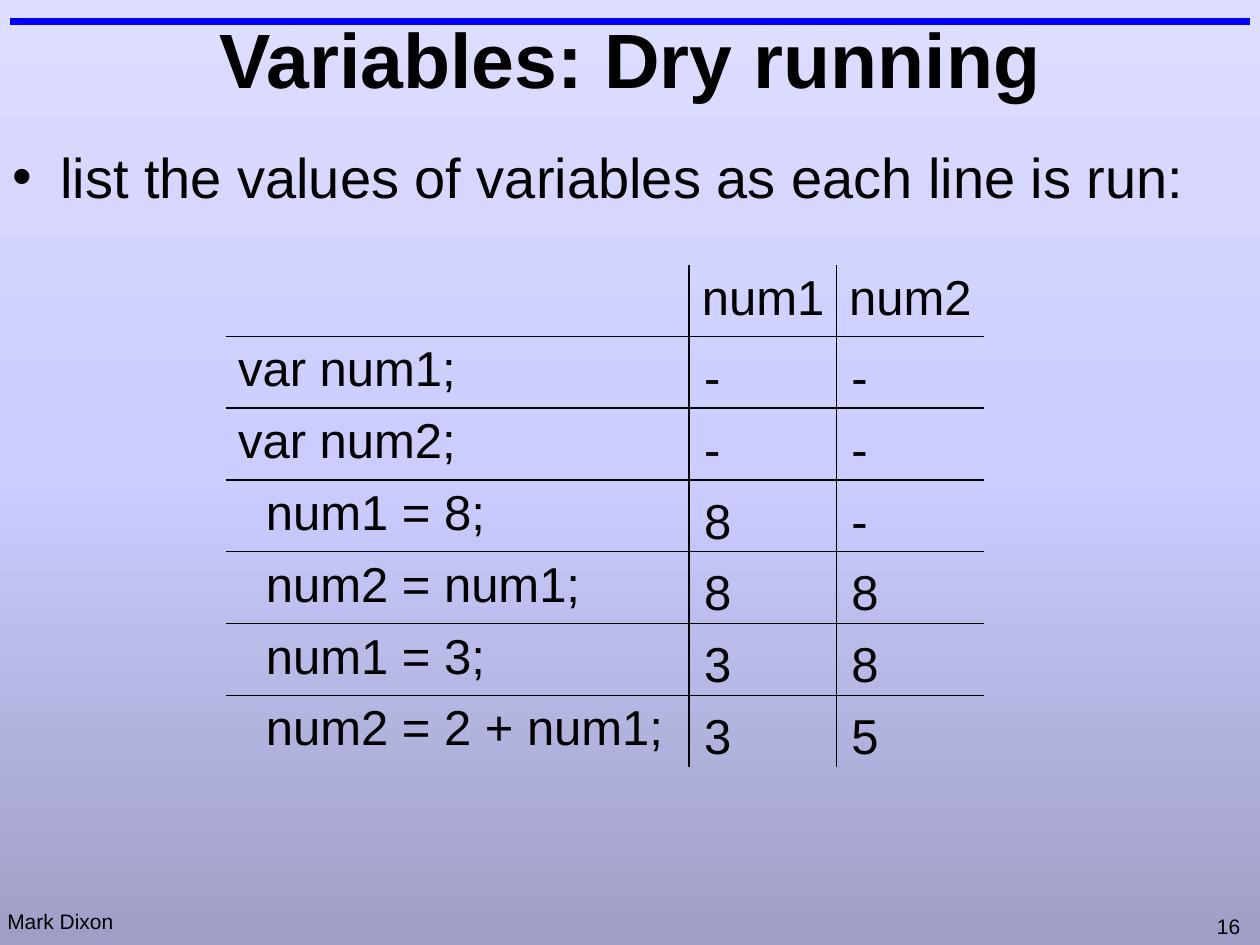
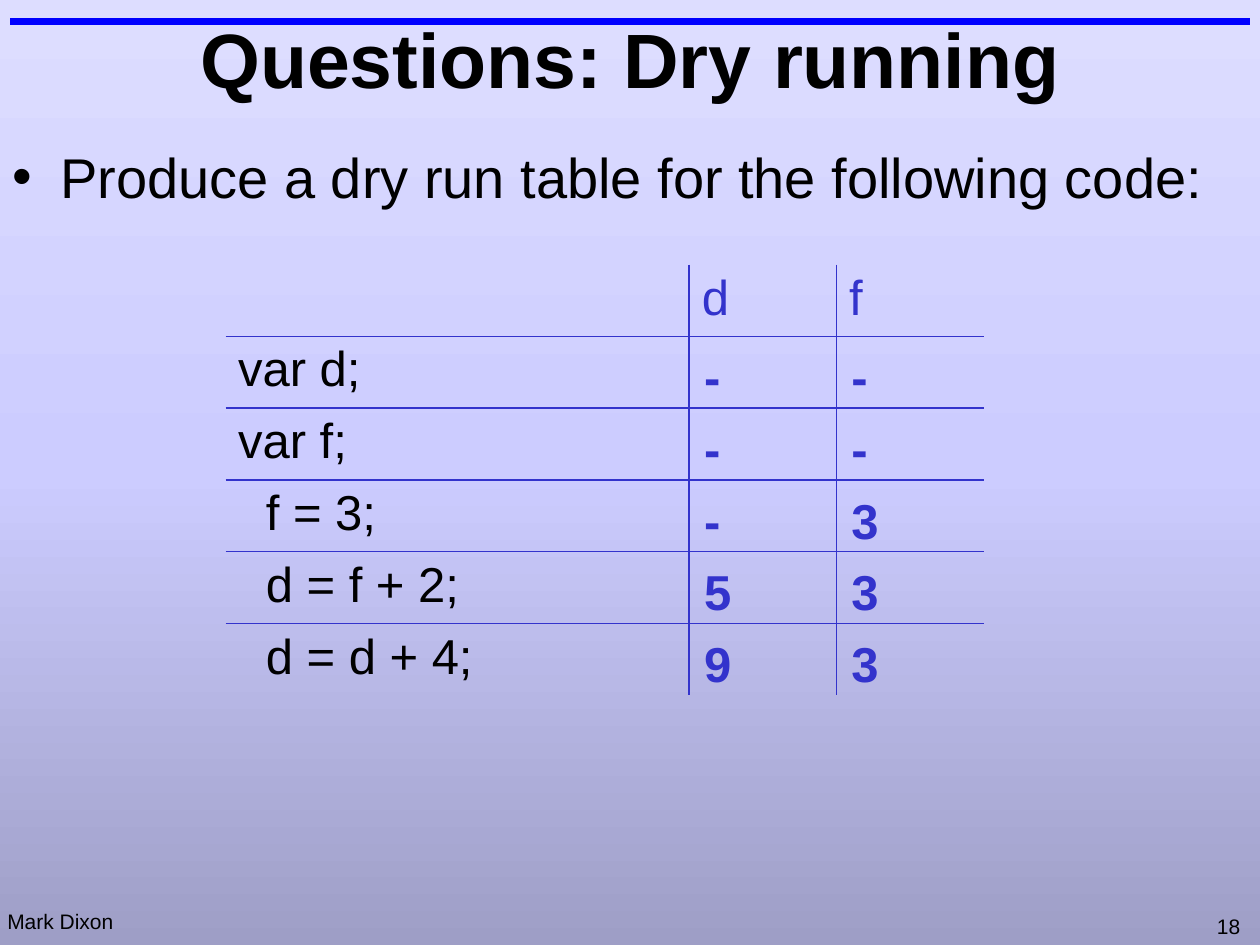
"""Build two slides that show dry run tables for short programs."""
from lxml import etree
from copy import deepcopy
from pptx import Presentation
from pptx.dml.color import RGBColor
from pptx.enum.shapes import MSO_CONNECTOR
from pptx.enum.text import MSO_ANCHOR, PP_ALIGN
from pptx.oxml.ns import qn
from pptx.util import Inches, Pt

STRAIGHT = MSO_CONNECTOR.STRAIGHT
MIDDLE, TOP = MSO_ANCHOR.MIDDLE, MSO_ANCHOR.TOP
CENTER, LEFT = PP_ALIGN.CENTER, PP_ALIGN.LEFT

BLACK = RGBColor(0x00, 0x00, 0x00)
BLUE = RGBColor(0x00, 0x00, 0xFF)
INDIGO = RGBColor(0x33, 0x33, 0xCC)
SKY = [
    (0, RGBColor(0xDD, 0xDD, 0xFF)),
    (0.5, RGBColor(0xCC, 0xCC, 0xFF)),
    (1, RGBColor(0x9E, 0x9E, 0xC6)),
]
FONT = "Arial"
PLAIN = "{2D5ABB26-0587-4C30-8999-92F81FD0307C}"

WIDE, HIGH = 10, 7.5
GRID_X, GRID_Y = 1.79, 2.1
COLS = [3.68, 1.17, 1.17]
ROW = 0.57
VALUE_X, VALUE_Y = 5.49, 2.7
INDENT = 0.22
HANG = 0.38
GAP = Pt(3.6)

PAGES = [
    {
        "title": "Variables: Dry running",
        "task": "list the values of variables as each line is run:",
        "page": "16",
        "ink": BLACK,
        "bold": False,
        "names": ["num1", "num2"],
        "steps": [
            ("var num1;", 0, "--"),
            ("var num2;", 0, "--"),
            ("num1 = 8;", INDENT, "8-"),
            ("num2 = num1;", INDENT, "88"),
            ("num1 = 3;", INDENT, "38"),
            ("num2 = 2 + num1;", INDENT, "35"),
        ],
    },
    {
        "title": "Questions: Dry running",
        "task": "Produce a dry run table for the following code:",
        "page": "18",
        "ink": INDIGO,
        "bold": True,
        "names": ["d", "f"],
        "steps": [
            ("var d;", 0, "--"),
            ("var f;", 0, "--"),
            ("f = 3;", INDENT, "-3"),
            ("d = f + 2;", INDENT, "53"),
            ("d = d + 4;", INDENT, "93"),
        ],
    },
]


def write(para, text, size, ink=BLACK, bold=False):
    """Add one styled run to a paragraph."""
    run = para.add_run()
    run.text = text
    run.font.name = FONT
    run.font.size = Pt(size)
    run.font.bold = bold
    run.font.color.rgb = ink


def place(slide, box, text, size, ink=BLACK, bold=False, wrap=True,
          align=LEFT, anchor=TOP, gap=0):
    """Add a text box and return its paragraph."""
    frame = slide.shapes.add_textbox(*map(Inches, box)).text_frame
    frame.word_wrap = wrap
    frame.vertical_anchor = anchor
    para = frame.paragraphs[0]
    para.alignment = align
    para.space_before = gap
    write(para, text, size, ink, bold)
    return para


deck = Presentation()
deck.slide_width, deck.slide_height = Inches(WIDE), Inches(HIGH)

fill = deck.slide_master.background.fill
fill.gradient()
fill.gradient_angle = 270
stops = fill._fill._gradFill.find(qn("a:gsLst"))
stops.append(deepcopy(stops[0]))
for stop, (share, tint) in zip(fill.gradient_stops, SKY):
    stop.position = share
    stop.color.rgb = tint

for page in PAGES:
    slide = deck.slides.add_slide(deck.slide_layouts[6])
    ink, steps = page["ink"], page["steps"]
    count = len(steps) + 1

    rule = slide.shapes.add_connector(
        STRAIGHT, Inches(0.08), Inches(0.17), Inches(WIDE - 0.08), Inches(0.17))
    rule.line.color.rgb = BLUE
    rule.line.width = Pt(4)
    etree.SubElement(rule._element.spPr, qn("a:effectLst"))

    place(slide, (-0.04, 7.16, 1.04, 0.3), "Mark Dixon", 12, wrap=False)
    place(slide, (9.56, 7.2, 0.4, 0.3), page["page"], 12, wrap=False)
    place(slide, (0.17, -0.17, 9.67, 1.25), page["title"], 44, bold=True,
          align=CENTER, anchor=MIDDLE)
    task = place(slide, (0, 1.08, WIDE, 6.08), page["task"], 32, gap=GAP)
    props = task._p.get_or_add_pPr()
    props.set("marL", str(Inches(HANG)))
    props.set("indent", str(-Inches(HANG)))
    etree.SubElement(props, qn("a:buFont"), typeface=FONT)
    etree.SubElement(props, qn("a:buChar"), char="•")

    tables = []
    for layer in ("grid", "code"):
        table = slide.shapes.add_table(
            count, len(COLS), Inches(GRID_X), Inches(GRID_Y),
            Inches(sum(COLS)), Inches(ROW * count)).table
        table._tbl.tblPr.find(qn("a:tableStyleId")).text = PLAIN
        table.first_row = table.horz_banding = False
        for col, width in zip(table.columns, COLS):
            col.width = Inches(width)
        for r in range(count):
            for c in range(len(COLS)):
                cell = table.cell(r, c)
                cell.margin_right = Inches(0.02)
                edges = {"lnL": c > 0, "lnR": c < len(COLS) - 1,
                         "lnT": r > 0, "lnB": r < count - 1}
                for edge, inner in edges.items():
                    if inner and layer == "grid":
                        line = etree.SubElement(
                            cell._tc.get_or_add_tcPr(), qn("a:" + edge), w=str(Pt(1)))
                        paint = etree.SubElement(line, qn("a:solidFill"))
                        etree.SubElement(paint, qn("a:srgbClr"), val=str(ink))
                cell.fill.background()
        tables.append(table)
    grid, code = tables

    for c, name in enumerate(page["names"], 1):
        write(grid.cell(0, c).text_frame.paragraphs[0], name, 28, ink)

    for r, (text, inset, values) in enumerate(steps):
        para = code.cell(r + 1, 0).text_frame.paragraphs[0]
        para._p.get_or_add_pPr().set("marL", str(Inches(inset)))
        write(para, text, 28)
        for c, value in enumerate(values):
            box = (VALUE_X + c * COLS[1], VALUE_Y + r * ROW, COLS[1], ROW)
            place(slide, box, value, 28, ink, page["bold"], gap=GAP)

deck.save("out.pptx")
